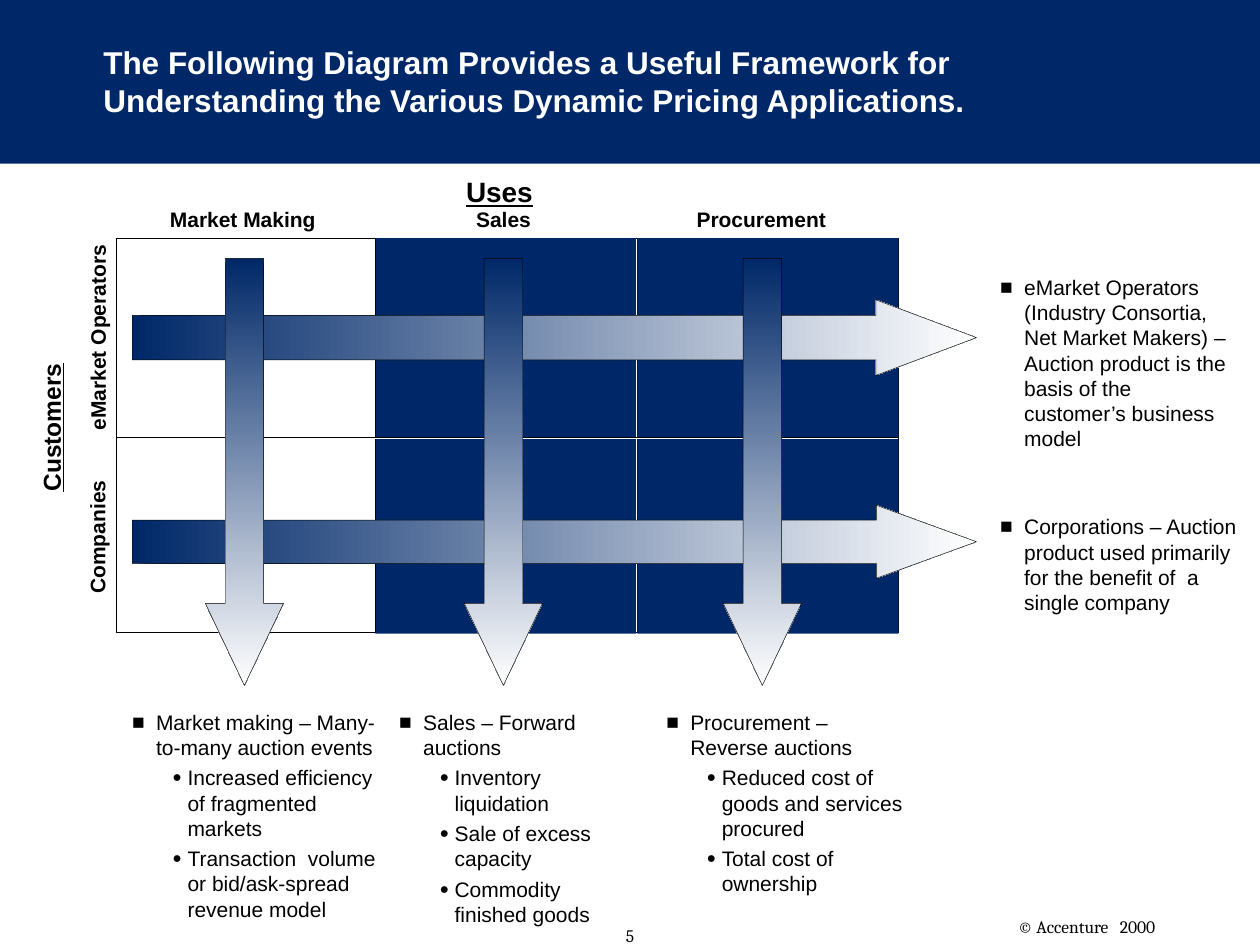
from lxml import etree
from pptx import Presentation
from pptx.dml.color import RGBColor
from pptx.enum.shapes import MSO_CONNECTOR, MSO_SHAPE as SHAPE
from pptx.enum.text import MSO_ANCHOR, MSO_AUTO_SIZE, PP_ALIGN
from pptx.oxml.ns import qn
from pptx.util import Inches, Pt

NAVY = RGBColor(0x00, 0x28, 0x68)
WHITE = RGBColor(0xFF, 0xFF, 0xFF)
BLACK = RGBColor(0x00, 0x00, 0x00)
HAIRLINE = Pt(0.25)
# Bullet character, size in percent, text indent and hanging indent by level
BULLETS = [("■", 100, 0.19, -0.19), ("●", 75, 0.44, -0.12)]

prs = Presentation()
prs.slide_width, prs.slide_height = Inches(10), Inches(7.5)
s = prs.slides.add_slide(prs.slide_layouts[5])


def add_text(box, *texts, size=12, font="Arial", color=BLACK, bold=False, underline=False,
             align=PP_ALIGN.LEFT, wrap=True, rotation=0, bullets=False, sp=None):
    """Write one paragraph per text; with bullets, those after the first are level two."""
    if sp is None:
        sp = s.shapes.add_textbox(*map(Inches, box))
    sp.rotation = rotation
    tf = sp.text_frame
    tf.word_wrap = wrap
    tf.auto_size = MSO_AUTO_SIZE.NONE if wrap else MSO_AUTO_SIZE.SHAPE_TO_FIT_TEXT
    for i, text in enumerate(texts):
        p = tf.add_paragraph() if i else tf.paragraphs[0]
        p.alignment = align
        if i:
            p.space_before = Pt(3)
        if bullets:
            char, percent, margin, indent = BULLETS[min(i, 1)]
            p.level = min(i, 1)
            pPr = p._p.get_or_add_pPr()
            pPr.set("marL", str(Inches(margin)))
            pPr.set("indent", str(Inches(indent)))
            etree.SubElement(pPr, qn("a:buSzPct"), val=str(percent * 1000))
            etree.SubElement(pPr, qn("a:buFont"), typeface="Arial")
            etree.SubElement(pPr, qn("a:buChar"), char=char)
        r = p.add_run()
        r.text = text
        r.font.name, r.font.size = font, Pt(size)
        r.font.bold, r.font.underline = bold, underline
        r.font.color.rgb = color
    return sp


def add_block(kind, box, fill=None, line=None):
    """Add a preset shape; a fill given as (angle, start, end) is a gradient."""
    sp = s.shapes.add_shape(kind, *map(Inches, box))
    sp.shadow.inherit = False
    if fill is None:
        sp.fill.background()
    elif isinstance(fill, RGBColor):
        sp.fill.solid()
        sp.fill.fore_color.rgb = fill
    else:
        angle, *colors = fill
        sp.fill.gradient()
        sp.fill.gradient_angle = angle
        for stop, color in zip(sp.fill.gradient_stops, colors):
            stop.color.rgb = color
    if line is None:
        sp.line.fill.background()
    else:
        sp.line.color.rgb = line
        sp.line.width = HAIRLINE
    return sp


# Header band, behind the title
band = add_block(SHAPE.RECTANGLE, (0, 0, 10, 1.3), NAVY)
s.shapes._spTree.insert(2, band._element)

title = s.shapes.title
title.left, title.top, title.width, title.height = map(Inches, (0.82, 0.45, 7.8, 0.39))
title.text_frame.margin_left = 0
title.text_frame.vertical_anchor = MSO_ANCHOR.MIDDLE
add_text(None, "The Following Diagram Provides a Useful Framework for Understanding "
         "the Various Dynamic Pricing Applications.",
         size=18, color=WHITE, bold=True, sp=title)

# Footer
add_text((4.53, 7.29, 0.94, 0.29), "5", size=10, font="Cambria", align=PP_ALIGN.CENTER)
add_text((7.98, 7.22, 1.44, 0.27), "© Accenture   2000", size=10, font="Cambria", wrap=False)

# Notes beside the rows and below the columns
add_text((7.84, 2.13, 2, 1.5), "eMarket Operators (Industry Consortia, Net Market Makers) – "
         "Auction product is the basis of the customer’s business model", bullets=True)
add_text((7.84, 4.03, 2.14, 0.9), "Corporations – Auction product used primarily "
         "for the benefit of  a single company", bullets=True)
column_notes = [
    (2.21, "Market making – Many-to-many auction events",
     "Increased efficiency of fragmented markets",
     "Transaction  volume or bid/ask-spread revenue model"),
    (2.03, "Sales – Forward auctions", "Inventory liquidation",
     "Sale of excess capacity", "Commodity finished goods"),
    (2.1, "Procurement – Reverse auctions",
     "Reduced cost of goods and services procured", "Total cost of ownership"),
]
for i, (width, *texts) in enumerate(column_notes):
    add_text((0.95 + 2.12 * i, 5.58, width, 1.8), *texts, bullets=True)

# Grid: outlines, navy cells, dividers
add_block(SHAPE.RECTANGLE, (5.06, 1.89, 2.07, 3.13), line=BLACK)
add_block(SHAPE.RECTANGLE, (0.92, 1.89, 4.14, 3.13), line=BLACK)
for left in (2.98, 5.06):
    for top in (1.89, 3.45):
        add_block(SHAPE.RECTANGLE, (left, top, 2.07, 1.58), NAVY)
dividers = [
    (5.05, 1.9, 5.05, 5.02, WHITE),
    (0.92, 3.47, 7.13, 3.47, BLACK),
    (2.98, 1.89, 2.98, 5.02, BLACK),
    (2.97, 3.48, 7.13, 3.48, WHITE),
]
for *ends, color in dividers:
    line = s.shapes.add_connector(MSO_CONNECTOR.STRAIGHT, *map(Inches, ends))
    line.line.color.rgb = color
    line.line.width = HAIRLINE
    etree.SubElement(line._element.spPr, qn("a:effectLst"))

# Axis titles and headings
labels = [
    ("Uses", (3.6, 1.34, 0.75, 0.37), 16, 0),
    ("Market Making", (1.25, 1.59, 1.38, 0.3), 12, 0),
    ("Sales", (3.68, 1.59, 0.68, 0.3), 12, 0),
    ("Procurement", (5.43, 1.59, 1.25, 0.3), 12, 0),
    ("Customers", (-0.2, 3.22, 1.22, 0.34), 14, 270),
    ("eMarket Operators", (-0.06, 2.53, 1.67, 0.3), 12, 270),
    ("Companies", (0.22, 4.11, 1.1, 0.3), 12, 270),
]
for text, box, size, rotation in labels:
    add_text(box, text, size=size, bold=True, underline=size > 12, wrap=False, rotation=rotation)

# Arrows across the rows, then down the columns
for top, height, head in ((2.38, 0.6, 1.33), (4.01, 0.58, 1.37)):
    arrow = add_block(SHAPE.RIGHT_ARROW, (1.05, top, 6.7, height), (0, NAVY, WHITE), BLACK)
    arrow.adjustments[0], arrow.adjustments[1] = 0.59, head
for i in range(3):
    arrow = add_block(SHAPE.DOWN_ARROW, (1.63 + 2.055 * i, 2.05, 0.62, 3.39),
                      (270, NAVY, WHITE), BLACK)
    arrow.adjustments[0], arrow.adjustments[1] = 0.49, 1.05

prs.save("out.pptx")
